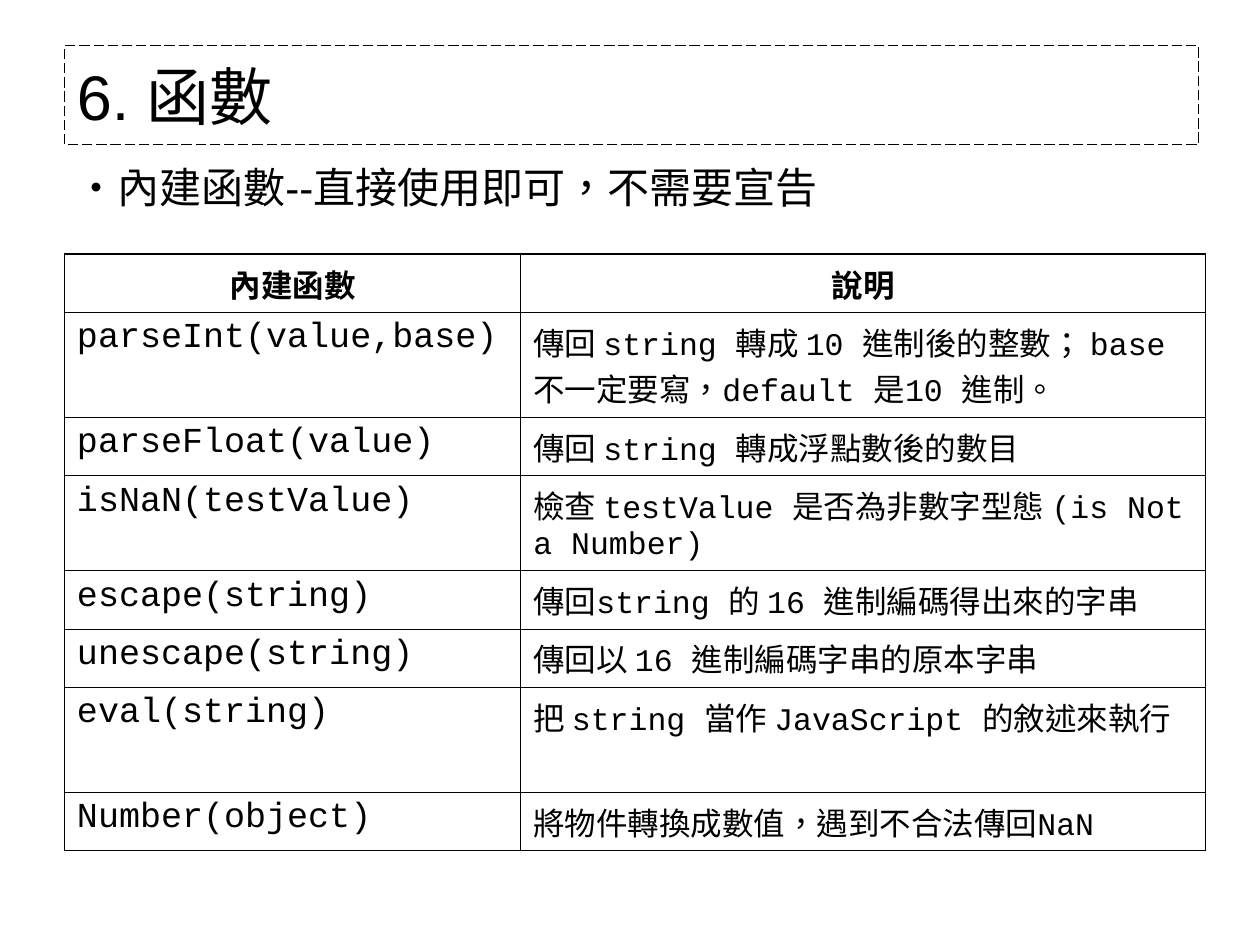
from lxml import etree
from pptx import Presentation
from pptx.dml.color import RGBColor
from pptx.enum.dml import MSO_LINE
from pptx.enum.lang import MSO_LANGUAGE_ID
from pptx.enum.shapes import MSO_SHAPE
from pptx.enum.text import MSO_ANCHOR, PP_ALIGN
from pptx.oxml.ns import qn
from pptx.util import Pt

BLACK = RGBColor(0, 0, 0)
SANS, MONO = "Arial", "Courier New"
CHINESE = MSO_LANGUAGE_ID.TRADITIONAL_CHINESE
RECTANGLE = MSO_SHAPE.RECTANGLE
LONG_DASH = MSO_LINE.LONG_DASH
TOP, MIDDLE = MSO_ANCHOR.TOP, MSO_ANCHOR.MIDDLE
LEFT, CENTER = PP_ALIGN.LEFT, PP_ALIGN.CENTER

OUTER_BORDER, INNER_BORDER = Pt(1.08), Pt(0.45)
NAME_SHARE = 0.4
ONE_LINE, TWO_LINES, LATIN_SECOND_LINE = Pt(33.3), Pt(60), Pt(54.3)

HEADER = ("內建函數", "說明")
FUNCTIONS = [
    ("parseInt(value,base)",
     "傳回 string 轉成 10 進制後的整數； base 不一定要寫，default 是10 進制。", TWO_LINES),
    ("parseFloat(value)", "傳回 string 轉成浮點數後的數目", ONE_LINE),
    ("isNaN(testValue)",
     "檢查 testValue 是否為非數字型態 (is Not a Number)", LATIN_SECOND_LINE),
    ("escape(string)", "傳回string 的 16 進制編碼得出來的字串", ONE_LINE),
    ("unescape(string)", "傳回以 16 進制編碼字串的原本字串", ONE_LINE),
    ("eval(string)", "把 string 當作 JavaScript 的敘述來執行", TWO_LINES),
    ("Number(object)", "將物件轉換成數值，遇到不合法傳回NaN", ONE_LINE),
]


def write(text_frame, text, font_name, size, align=LEFT, bold=False):
    text_frame.word_wrap = True
    paragraph = text_frame.paragraphs[0]
    paragraph.text = text
    paragraph.alignment = align
    font = paragraph.runs[0].font
    font.name, font.size, font.bold = font_name, Pt(size), bold
    font.color.rgb = BLACK
    font.language_id = CHINESE
    return paragraph


def add_title(slide, left, top, width, height):
    title = slide.shapes.add_shape(RECTANGLE, left, top, width, height)
    title.shadow.inherit = False
    title.fill.background()
    title.line.color.rgb = BLACK
    title.line.width = Pt(0.75)
    title.line.dash_style = LONG_DASH
    title.text_frame.vertical_anchor = MIDDLE
    write(title.text_frame, "6. 函數", SANS, 36)


def add_intro(slide, left, top, width, height):
    intro = slide.shapes.add_textbox(left, top, width, height)
    intro.text_frame.vertical_anchor = TOP
    paragraph = write(intro.text_frame, "‧內建函數--直接使用即可，不需要宣告", SANS, 24)
    properties = paragraph._p.get_or_add_pPr()
    properties.set("marL", str(Pt(27)))
    properties.set("indent", str(-Pt(27)))


def set_borders(cell, outer_sides):
    """Draw all four sides, heavier on those at the edge of the table."""
    properties = cell._tc.get_or_add_tcPr()
    for side in "LRTB":
        width = OUTER_BORDER if side in outer_sides else INNER_BORDER
        border = etree.SubElement(properties, qn(f"a:ln{side}"), w=str(width))
        fill = etree.SubElement(border, qn("a:solidFill"))
        etree.SubElement(fill, qn("a:srgbClr"), val=str(BLACK))


def add_function_table(slide, left, top, width):
    heights = [ONE_LINE] + [height for _, _, height in FUNCTIONS]
    rows = [HEADER] + [(name, meaning) for name, meaning, _ in FUNCTIONS]
    last_row = len(rows) - 1
    table = slide.shapes.add_table(
        len(rows), 2, left, top, width, sum(heights)).table
    table.first_row = table.horz_banding = False
    table.columns[0].width = int(width * NAME_SHARE)
    table.columns[1].width = width - table.columns[0].width

    for row, (texts, height) in enumerate(zip(rows, heights)):
        table.rows[row].height = height
        for column, text in enumerate(texts):
            cell = table.cell(row, column)
            outer_sides = "LR"[column]
            if row == 0:
                outer_sides += "T"
            if row == last_row:
                outer_sides += "B"
            set_borders(cell, outer_sides)
            cell.fill.background()
            cell.vertical_anchor = TOP
            if row == 0:
                write(cell.text_frame, text, MONO, 18, CENTER, bold=True)
            else:
                write(cell.text_frame, text, MONO, (20, 18)[column])


def main():
    presentation = Presentation()
    presentation.slide_width, presentation.slide_height = Pt(720), Pt(540)
    slide = presentation.slides.add_slide(presentation.slide_layouts[6])
    add_title(slide, Pt(36.9), Pt(26.1), Pt(648), Pt(56.7))
    add_intro(slide, Pt(36), Pt(88.5), Pt(648), Pt(408))
    add_function_table(slide, Pt(36.8), Pt(145.3), Pt(652))
    presentation.save("out.pptx")


if __name__ == "__main__":
    main()
